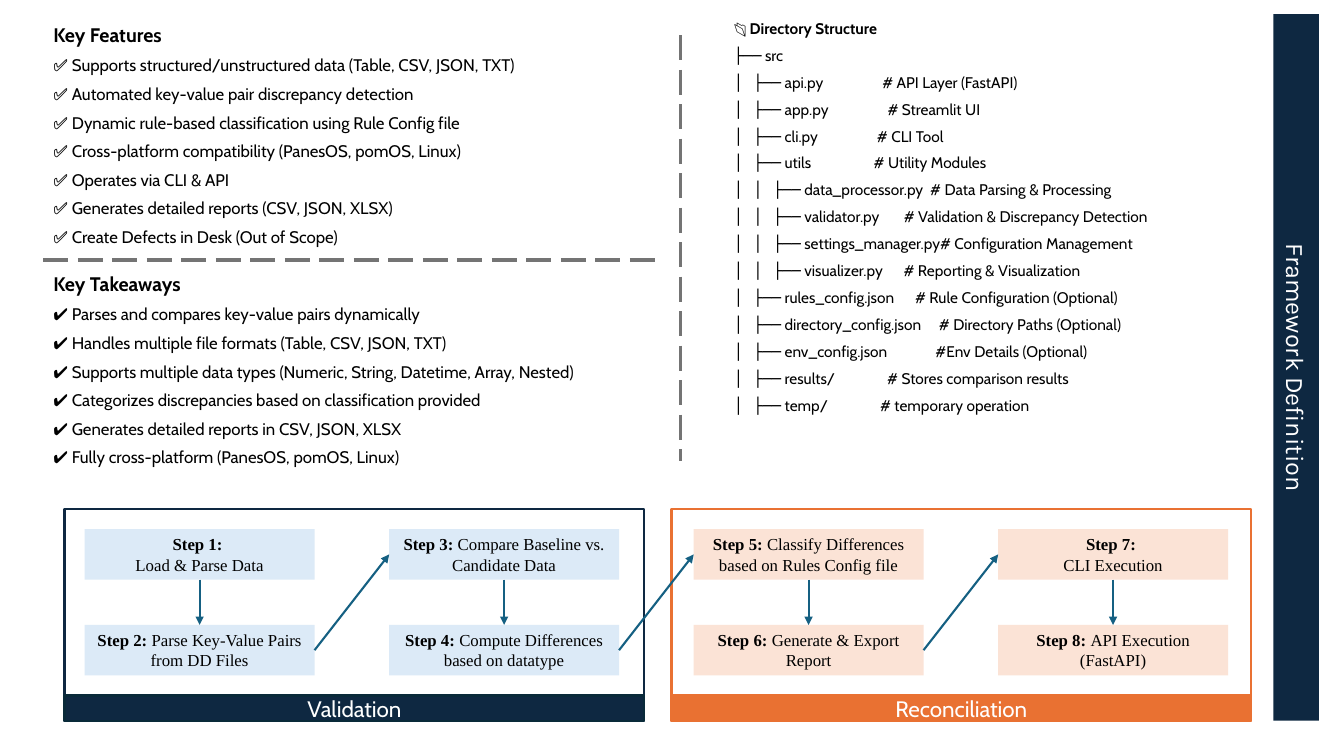
from dataclasses import dataclass

from lxml import etree
from pptx import Presentation
from pptx import util as u
from pptx.dml.color import RGBColor
from pptx.enum import dml, shapes, text
from pptx.oxml.ns import qn

Inches = u.Inches


@dataclass(frozen=True)
class Theme:
    ink: str = "000000"
    white: str = "FFFFFF"
    navy: str = "0E2841"
    navy_edge: str = "092A39"
    orange: str = "E97132"
    pale_blue: str = "DCEAF7"
    pale_orange: str = "FBE3D6"
    arrow: str = "156082"
    divider: str = "747474"
    body_font: str = "Cabin"
    title_font: str = "Karla"
    step_font: str = "Times New Roman"
    title_size: int = 18
    phase_size: int = 16
    heading_size: int = 14
    body_size: int = 12
    tree_size: int = 11


THEME = Theme()

FEATURES = [
    "Supports structured/unstructured data (Table, CSV, JSON, TXT)",
    "Automated key-value pair discrepancy detection",
    "Dynamic rule-based classification using Rule Config file",
    "Cross-platform compatibility (PanesOS, pomOS, Linux)",
    "Operates via CLI & API",
    "Generates detailed reports (CSV, JSON, XLSX)",
    "Create Defects in Desk (Out of Scope)",
]
TAKEAWAYS = [
    "Parses and compares key-value pairs dynamically",
    "Handles multiple file formats (Table, CSV, JSON, TXT)",
    "Supports multiple data types (Numeric, String, Datetime, Array, Nested)",
    "Categorizes discrepancies based on classification provided",
    "Generates detailed reports in CSV, JSON, XLSX",
    "Fully cross-platform (PanesOS, pomOS, Linux)",
]
DIRECTORY_TREE = """├── src
│   ├── api.py                 # API Layer (FastAPI)
│   ├── app.py                 # Streamlit UI
│   ├── cli.py                 # CLI Tool
│   ├── utils                  # Utility Modules
│   │   ├── data_processor.py  # Data Parsing & Processing
│   │   ├── validator.py       # Validation & Discrepancy Detection
│   │   ├── settings_manager.py# Configuration Management
│   │   ├── visualizer.py      # Reporting & Visualization
│   ├── rules_config.json      # Rule Configuration (Optional)
│   ├── directory_config.json 	 # Directory Paths (Optional)
│   ├── env_config.json  	#Env Details (Optional)
│   ├── results/               # Stores comparison results
│   ├── temp/               # temporary operation"""
# Each step's text; a line break starts a new paragraph.
STEPS = [
    "\nLoad & Parse Data",
    "Parse Key-Value Pairs from DD Files",
    "Compare Baseline vs. Candidate Data",
    "Compute Differences based on datatype",
    "Classify Differences based on Rules Config file",
    "Generate & Export Report",
    "\nCLI Execution",
    "API Execution (FastAPI)",
]
STEP_LEFT, STEP_PITCH, STEP_WIDTH, STEP_HEIGHT = 0.84, 3.02, 2.28, 0.5
STEP_TOPS = (5.25, 6.2)


def place(shape, left, top, width, height):
    shape.left, shape.top = Inches(left), Inches(top)
    shape.width, shape.height = Inches(width), Inches(height)


def write(frame, runs, *, size, font=THEME.body_font, color=THEME.ink, bold=False,
          align=text.PP_ALIGN.LEFT, after=0, new_paragraph=True):
    """Write one paragraph; runs is a string or a list of (text, bold) pairs."""
    started = bool(frame.paragraphs[0].runs)
    paragraph = frame.add_paragraph() if started else frame.paragraphs[0]
    properties = paragraph._p.get_or_add_pPr()
    properties.set("marL", "0")
    properties.set("indent", "0")
    etree.SubElement(properties, qn("a:buNone"))
    paragraph.alignment = align
    paragraph.space_before, paragraph.space_after = u.Pt(0), u.Pt(after)
    for content, run_bold in [(runs, bold)] if isinstance(runs, str) else runs:
        run = paragraph.add_run()
        run.text = content
        run.font.name, run.font.size, run.font.bold = font, u.Pt(size), run_bold
        run.font.color.rgb = RGBColor.from_string(color)


def add_box(slide, left, top, width, height, fill=None, line=None):
    shape = slide.shapes.add_shape(shapes.MSO_SHAPE.RECTANGLE, Inches(left), Inches(top),
                                   Inches(width), Inches(height))
    shape.shadow.inherit = False
    if fill:
        shape.fill.solid()
        shape.fill.fore_color.rgb = RGBColor.from_string(fill)
    else:
        shape.fill.background()
    if line:
        shape.line.color.rgb = RGBColor.from_string(line)
        shape.line.width = u.Pt(1.5)
    else:
        shape.line.fill.background()
    return shape


def add_line(slide, start, end, color, width):
    line = slide.shapes.add_connector(shapes.MSO_CONNECTOR.STRAIGHT,
                                      *(Inches(value) for value in (*start, *end)))
    line.line.color.rgb = RGBColor.from_string(color)
    line.line.width = u.Pt(width)
    etree.SubElement(line._element.spPr, qn("a:effectLst"))
    return line


def add_arrow(slide, start, end):
    arrow = add_line(slide, start, end, THEME.arrow, 1.5)
    etree.SubElement(arrow.line._get_or_add_ln(), qn("a:tailEnd"), type="triangle")


def add_divider(slide, start, end):
    add_line(slide, start, end, THEME.divider, 2.25).line.dash_style = dml.MSO_LINE.LONG_DASH


def fill_title(title):
    place(title, 9.35, 3.42, 7.01, 0.45)
    title.rotation = 90
    title.fill.solid()
    title.fill.fore_color.rgb = RGBColor.from_string(THEME.navy)
    title.text_frame.auto_size = text.MSO_AUTO_SIZE.NONE
    title.text_frame.vertical_anchor = text.MSO_ANCHOR.MIDDLE
    write(title.text_frame, "Framework Definition", size=THEME.title_size,
          font=THEME.title_font, color=THEME.white, align=text.PP_ALIGN.CENTER)


def fill_checklist(body, bounds, heading, mark, items):
    place(body, *bounds)
    frame = body.text_frame
    frame.auto_size = text.MSO_AUTO_SIZE.NONE
    write(frame, heading, size=THEME.heading_size, bold=True, after=6)
    for item in items:
        write(frame, f"{mark} {item}", size=THEME.body_size, after=6)


def add_directory_tree(slide):
    box = slide.shapes.add_textbox(Inches(7.18), Inches(0.14), Inches(5.09), Inches(4.06))
    frame = box.text_frame
    frame.word_wrap = True
    write(frame, [("📂 ", False), ("Directory Structure", True)], size=THEME.tree_size, after=6)
    for line in DIRECTORY_TREE.split("\n"):
        write(frame, line, size=THEME.tree_size, after=6)


def add_phase(slide, left, name, color, edge):
    """Draw the outline of a phase with its name bar at the foot."""
    add_box(slide, left, 5.05, 5.75, 2.1, line=color)
    bar = add_box(slide, left, 6.9, 5.75, 0.25, fill=color, line=edge)
    bar.text_frame.vertical_anchor = text.MSO_ANCHOR.MIDDLE
    write(bar.text_frame, name, size=THEME.phase_size, color=THEME.white,
          align=text.PP_ALIGN.CENTER)


def add_step(slide, index):
    column, row = divmod(index, 2)
    fill = THEME.pale_blue if column < 2 else THEME.pale_orange
    box = add_box(slide, STEP_LEFT + column * STEP_PITCH, STEP_TOPS[row],
                  STEP_WIDTH, STEP_HEIGHT, fill=fill)
    frame = box.text_frame
    frame.vertical_anchor = text.MSO_ANCHOR.TOP
    first, *rest = STEPS[index].split("\n")
    label = (f"Step {index + 1}: ", True)
    for runs in [[label, (first, False)] if first else [label], *rest]:
        write(frame, runs, size=THEME.body_size, font=THEME.step_font,
              align=text.PP_ALIGN.CENTER)


def add_flow_arrows(slide):
    """Link each column downwards, then up to the next column."""
    top, bottom = STEP_TOPS
    columns = len(STEPS) // 2
    for column in range(columns):
        left = STEP_LEFT + column * STEP_PITCH
        middle, right = left + STEP_WIDTH / 2, left + STEP_WIDTH
        add_arrow(slide, (middle, top + STEP_HEIGHT), (middle, bottom))
        if column < columns - 1:
            add_arrow(slide, (right, bottom + STEP_HEIGHT / 2),
                      (left + STEP_PITCH, top + STEP_HEIGHT / 2))


def main():
    presentation = Presentation()
    presentation.slide_width, presentation.slide_height = Inches(13.33), Inches(7.5)
    slide = presentation.slides.add_slide(presentation.slide_layouts.get_by_name("Two Content"))
    title, features, takeaways = list(slide.placeholders)[:3]
    fill_title(title)
    fill_checklist(features, (0.43, 0.18, 5.83, 2.34), "Key Features", "✅", FEATURES)
    fill_checklist(takeaways, (0.43, 2.65, 5.75, 2.05), "Key Takeaways", "✔", TAKEAWAYS)
    add_directory_tree(slide)
    add_divider(slide, (0.43, 2.58), (6.53, 2.58))
    add_divider(slide, (6.75, 0.35), (6.75, 4.57))
    add_phase(slide, 0.64, "Validation", THEME.navy, THEME.navy_edge)
    add_phase(slide, 6.66, "Reconciliation", THEME.orange, THEME.orange)
    for index in range(len(STEPS)):
        add_step(slide, index)
    add_flow_arrows(slide)
    presentation.save("out.pptx")


if __name__ == "__main__":
    main()
